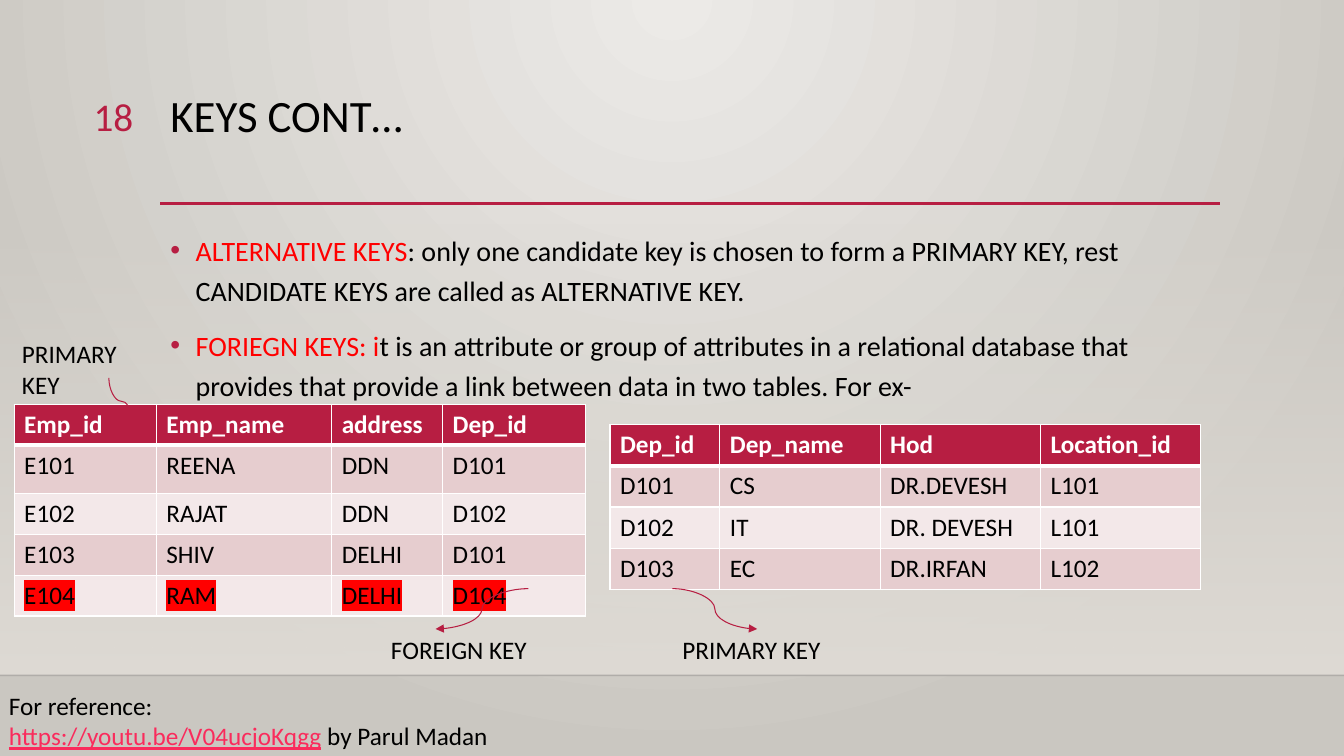
"""Build the database keys slide with its two linked tables."""
from dataclasses import dataclass

from lxml.etree import SubElement
from pptx import Presentation
from pptx.dml.color import RGBColor
from pptx.enum.shapes import MSO_CONNECTOR as Link, MSO_SHAPE as Preset
from pptx.enum.text import MSO_ANCHOR as Anchor, MSO_AUTO_SIZE as AutoSize, PP_ALIGN as Align
from pptx.oxml.ns import qn
from pptx.util import Inches, Pt


@dataclass(frozen=True)
class Theme:
    font: str = "Calibri"
    title_size: int = 32
    number_size: int = 28
    body_size: int = 20
    label_size: int = 18
    ink: str = "000000"
    accent: str = "B71E42"
    alert: str = "FF0000"
    link: str = "FA2B5C"
    white: str = "FFFFFF"
    bands: tuple = ("E6CDCF", "F3E8E9")
    backdrop: tuple = ("ECEAE7", "CAC7C1")
    panel: str = "DFDBD5"
    edge: str = "000001"


def rgb(value):
    return RGBColor.from_string(value)


def add_node(parent, tag, **attributes):
    return SubElement(parent, qn(tag), attributes)


def set_alpha(element, percent):
    color = next(element.iter(qn("a:srgbClr")))
    add_node(color, "a:alpha", val=str(percent * 1000))


def add_bullet(para, color, indent):
    properties = para._p.get_or_add_pPr()
    properties.set("marL", str(indent))
    properties.set("indent", str(-indent))
    add_node(add_node(properties, "a:buClr"), "a:srgbClr", val=color)
    add_node(properties, "a:buFont", typeface="Arial")
    add_node(properties, "a:buChar", char="•")


def write(frame, paragraphs, *, size, color, font, bold=False, align=Align.LEFT,
          spacing=None, gap=0, bullet=None, highlight=None):
    """Fill a frame; each paragraph is a list of (text, color, underline) or a plain string."""
    for index, spans in enumerate(paragraphs):
        para = frame.add_paragraph() if index else frame.paragraphs[0]
        if bullet:
            add_bullet(para, bullet, Inches(0.25))
        para.alignment = align
        para.space_before = Pt(gap if index else 0)
        if spacing:
            para.line_spacing = spacing
        for text, tint, underline in ([(spans, color, False)] if isinstance(spans, str) else spans):
            span = para.add_run()
            span.text = text
            span.font.name = font
            span.font.size = Pt(size)
            span.font.bold = bold
            span.font.underline = underline
            span.font.color.rgb = rgb(tint)
            if highlight:
                properties = span.font._element
                mark = add_node(properties, "a:highlight")
                add_node(mark, "a:srgbClr", val=highlight)
                properties.find(qn("a:solidFill")).addnext(mark)


class SlideBuilder:
    def __init__(self, deck, theme):
        self.theme = theme
        self.page = deck.slides.add_slide(deck.slide_layouts[1])

    def background(self):
        fill = self.page.background.fill
        fill.gradient()
        for stop, color in zip(fill.gradient_stops, self.theme.backdrop):
            stop.color.rgb = rgb(color)
        linear = next(self.page.element.iter(qn("a:lin")))
        gradient = linear.getparent()
        gradient.remove(linear)
        circle = add_node(gradient, "a:path", path="circle")
        add_node(circle, "a:fillToRect", l="43000", t="0", r="43000", b="100000")

    def fading_panel(self, left, top, width, height):
        panel = self.page.shapes.add_shape(
            Preset.RECTANGLE, *map(Inches, (left, top, width, height)))
        panel.shadow.inherit = False
        panel.line.fill.background()
        panel.fill.gradient()
        panel.fill.gradient_angle = 270
        for stop in panel.fill.gradient_stops:
            stop.color.rgb = rgb(self.theme.panel)
        set_alpha(panel.element, 0)

    def line(self, start, end, color, width, kind=Link.STRAIGHT, arrow=False, alpha=None, turn=0):
        line = self.page.shapes.add_connector(kind, *map(Inches, (*start, *end)))
        line.line.color.rgb = rgb(color)
        line.line.width = Pt(width)
        if alpha:
            set_alpha(line.element, alpha)
        if arrow:
            add_node(line.line._get_or_add_ln(), "a:tailEnd", type="triangle")
        if turn:
            line.element.spPr.find(qn("a:xfrm")).set("rot", str(turn * 60000))
        add_node(line.element.spPr, "a:effectLst")

    def placeholder(self, index, left, top, width, height, paragraphs, **style):
        box = self.page.placeholders[index]
        box.element.getparent().append(box.element)
        box.left, box.top, box.width, box.height = map(Inches, (left, top, width, height))
        self.fill_frame(box.text_frame, paragraphs, **style)

    def label(self, left, top, width, height, paragraphs, **style):
        box = self.page.shapes.add_textbox(*map(Inches, (left, top, width, height)))
        self.fill_frame(box.text_frame, paragraphs, **style)

    def fill_frame(self, frame, paragraphs, **style):
        frame.word_wrap = True
        frame.auto_size = AutoSize.NONE
        frame.vertical_anchor = Anchor.TOP
        defaults = dict(size=self.theme.label_size, color=self.theme.ink, font=self.theme.font)
        write(frame, paragraphs, **{**defaults, **style})

    def table(self, left, top, widths, heights, rows, marked_row=None):
        theme = self.theme
        table = self.page.shapes.add_table(
            len(rows), len(widths),
            *map(Inches, (left, top, sum(widths), sum(heights)))).table
        for column, width in zip(table.columns, widths):
            column.width = Inches(width)
        for number, (row, height, values) in enumerate(zip(table.rows, heights, rows)):
            row.height = Inches(height)
            header = number == 0
            for cell, value in zip(row.cells, values):
                self.borders(cell, 3 if header else 1, 3 if number == 1 else 1)
                cell.fill.solid()
                cell.fill.fore_color.rgb = rgb(theme.accent if header else theme.bands[(number - 1) % 2])
                write(cell.text_frame, [value], size=theme.label_size, font=theme.font,
                      color=theme.white if header else theme.ink, bold=header,
                      highlight=theme.alert if number == marked_row else None)

    def borders(self, cell, bottom, top):
        properties = cell._tc.get_or_add_tcPr()
        for side, width in (("L", 1), ("R", 1), ("T", top), ("B", bottom)):
            edge = add_node(properties, f"a:ln{side}", w=str(Pt(width)))
            add_node(add_node(edge, "a:solidFill"), "a:srgbClr", val=self.theme.white)


def main():
    theme = Theme()
    deck = Presentation()
    deck.slide_width, deck.slide_height = Inches(13.33), Inches(7.5)
    slide = SlideBuilder(deck, theme)

    slide.background()
    slide.fading_panel(0, 2.21, 13.33, 4.49)
    slide.line((0, 6.7), (13.33, 6.7), theme.edge, 1, alpha=20)
    slide.line((1.59, 2.02), (12.1, 2.02), theme.accent, 2.5)

    slide.placeholder(0, 1.59, 0.88, 10.5, 1.15, ["KEYS CONT…"],
                      size=theme.title_size, spacing=0.9)
    slide.placeholder(1, 1.59, 2.2, 10.5, 3.77, [
        [("ALTERNATIVE KEYS", theme.alert, False),
         (": only one candidate key is chosen to form a PRIMARY KEY, rest CANDIDATE KEYS "
          "are called as ALTERNATIVE KEY.", theme.ink, False)],
        [("FORIEGN KEYS: i", theme.alert, False),
         ("t is an attribute or group of attributes in a relational database that provides "
          "that provide a link between data in two tables. For ex-", theme.ink, False)],
    ], size=theme.body_size, spacing=1.2, gap=10, bullet=theme.accent)
    slide.label(0.53, 0.87, 0.89, 0.55, ["18"], size=theme.number_size,
                color=theme.accent, align=Align.RIGHT)

    slide.table(0.14, 4.01, (1.41, 1.74, 1.1, 1.42), (0.4, 0.48, 0.4, 0.4, 0.4), [
        ("Emp_id", "Emp_name", "address", "Dep_id"),
        ("E101", "REENA", "DDN", "D101"),
        ("E102", "RAJAT", "DDN", "D102"),
        ("E103", "SHIV", "DELHI", "D101"),
        ("E104", "RAM", "DELHI", "D104"),
    ], marked_row=4)
    slide.table(6.05, 4.21, (1.09, 1.59, 1.59, 1.59), (0.41,) * 4, [
        ("Dep_id", "Dep_name", "Hod", "Location_id"),
        ("D101", "CS", "DR.DEVESH", "L101"),
        ("D102", "IT", "DR. DEVESH", "L101"),
        ("D103", "EC", "DR.IRFAN", "L102"),
    ])

    slide.label(0.12, 3.31, 1.47, 0.71, ["PRIMARY KEY"])
    slide.label(6.67, 6.24, 2.74, 0.4, ["PRIMARY KEY"])
    slide.label(3.78, 6.24, 2.27, 0.4, ["FOREIGN KEY"])
    for start, end, turn in (((6.67, 5.84), (7.51, 6.24), 0),
                             ((5.24, 5.84), (4.32, 6.24), 0),
                             ((1.43, 3.86), (0.97, 4.1), 270)):
        slide.line(start, end, theme.accent, 0.75, Link.CURVE, arrow=True, turn=turn)
    slide.label(-0.01, 6.8, 6.68, 0.71, [
        "For reference:",
        [("https://youtu.be/V04ucjoKqgg", theme.link, True), (" by Parul Madan", theme.ink, False)],
    ])
    deck.save("out.pptx")


if __name__ == "__main__":
    main()
